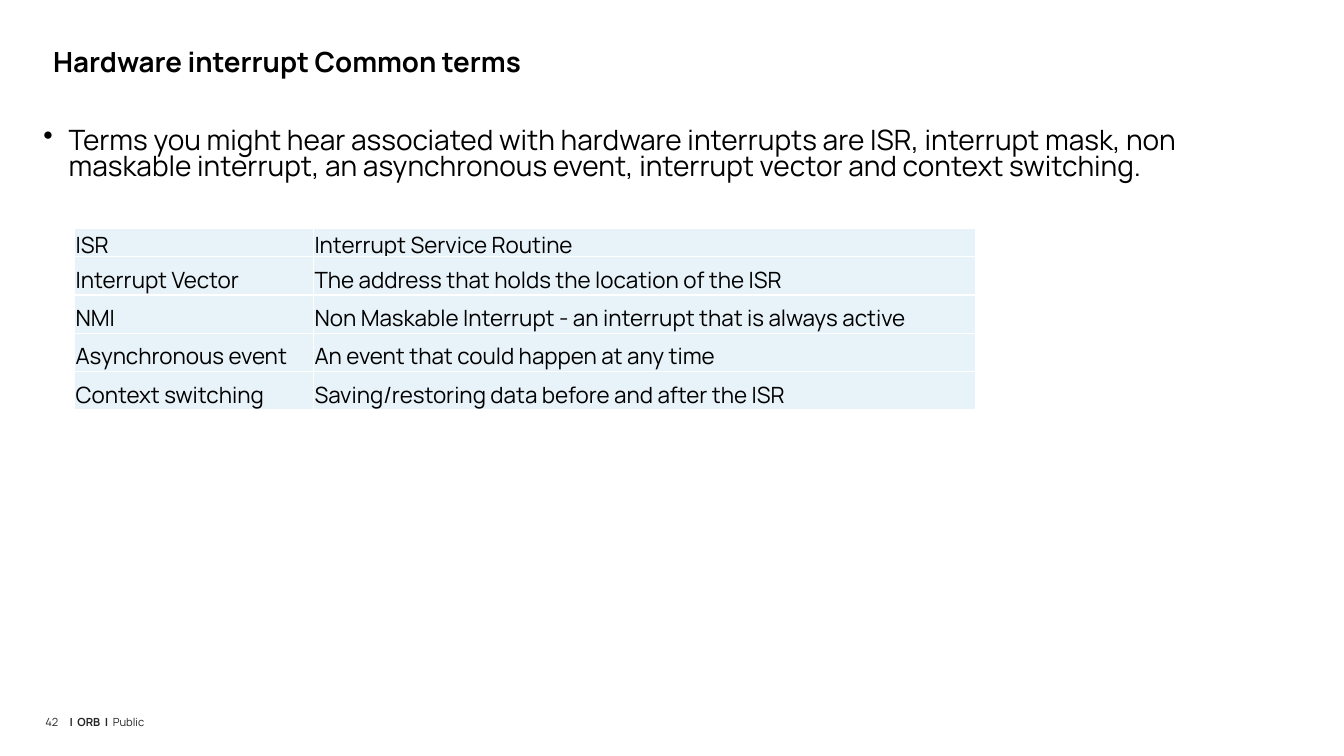
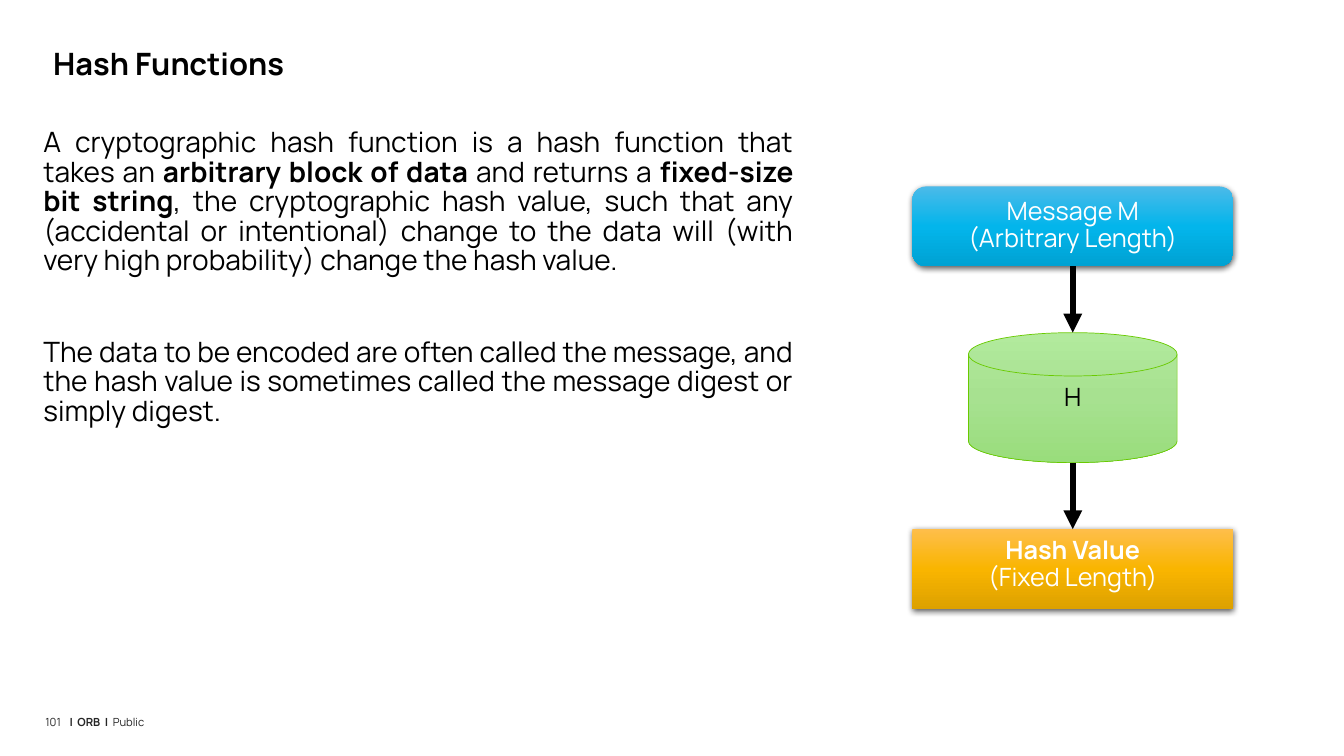
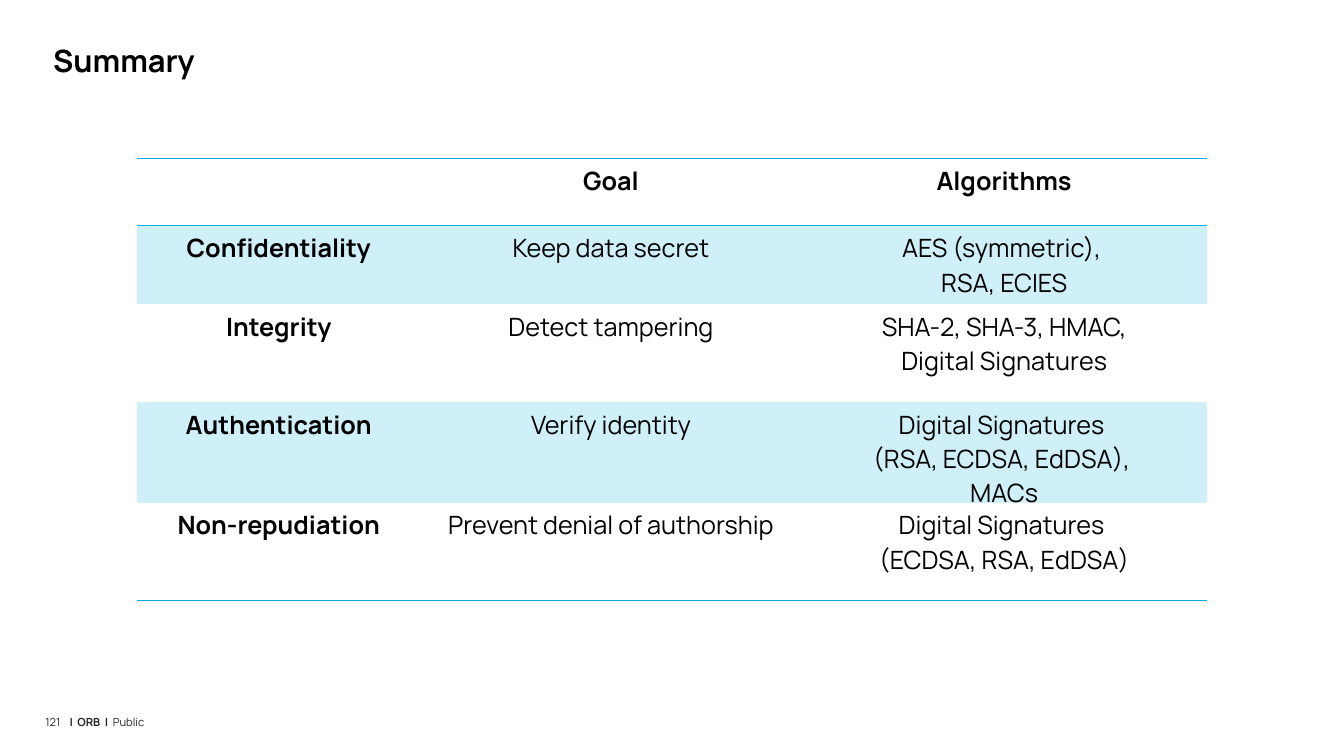
from copy import deepcopy

from lxml import etree
from pptx import Presentation
from pptx.dml.color import RGBColor
from pptx.enum import shapes, text
from pptx.oxml import ns
from pptx.util import Inches, Pt

FONT = "Manrope"
COLORS = {
    "ink": "000000",
    "footer": "262626",
    "white": "FFFFFF",
    "term_fill": "E7F2F9",
    "rule": "0EAFE0",
    "band": "CFEFF9",
    "green_line": "69CA00",
}
GRADIENTS = {
    "blue": ("4BBAE9", "03B5EB", "00A2D3"),
    "green": ("B2EA9D", "A7E190", "99DD7C"),
    "amber": ("FEBE4B", "F9B500", "DDA100"),
}
NO_STYLE = "{2D5ABB26-0587-4C30-8999-92F81FD0307C}"
LEFT, ALIGN = 0.43, text.PP_ALIGN
BODY_TOP, BODY_HEIGHT = 1.28, 5.1

TERMS = [
    ("ISR", "Interrupt Service Routine"),
    ("Interrupt Vector", "The address that holds the location of the ISR"),
    ("NMI", "Non Maskable Interrupt - an interrupt that is always active"),
    ("Asynchronous event", "An event that could happen at any time"),
    ("Context switching", "Saving/restoring data before and after the ISR"),
]
SUMMARY = [
    ("", "Goal", "Algorithms"),
    ("Confidentiality", "Keep data secret", "AES (symmetric), \nRSA, ECIES"),
    ("Integrity", "Detect tampering", "SHA-2, SHA-3, HMAC,\nDigital Signatures"),
    ("Authentication", "Verify identity",
     "Digital Signatures \n(RSA, ECDSA, EdDSA), \nMACs"),
    ("Non-repudiation", "Prevent denial of authorship",
     "Digital Signatures \n(ECDSA, RSA, EdDSA)"),
]


def rgb(key):
    """Return the colour for a palette key."""
    return RGBColor.from_string(COLORS[key])


def add_xml(parent, tag, **attributes):
    """Append a DrawingML element to a parent and return it."""
    return etree.SubElement(parent, ns.qn(tag), attributes)


def write(frame, paragraphs, size, color="ink", align=ALIGN.LEFT, spacing=None,
          gap=0, insets=(0.1, 0.05, 0.1, 0.05)):
    """Fill a text frame with paragraphs given as lists of (words, bold)."""
    frame.word_wrap = True
    (frame.margin_left, frame.margin_top,
     frame.margin_right, frame.margin_bottom) = map(Inches, insets)
    for index, pieces in enumerate(paragraphs):
        paragraph = frame.add_paragraph() if index else frame.paragraphs[0]
        paragraph.alignment = align
        paragraph.line_spacing = spacing
        if index and gap:
            paragraph.space_before = Pt(gap)
        for words, bold in pieces:
            run = paragraph.add_run()
            run.text = words
            run.font.name, run.font.size, run.font.bold = FONT, Pt(size), bold
            run.font.color.rgb = rgb(color)


def add_text(slide, box, paragraphs, size, **style):
    """Add a text box and return its frame."""
    frame = slide.shapes.add_textbox(*map(Inches, box)).text_frame
    write(frame, paragraphs, size, **style)
    return frame


def add_body(slide, width, paragraphs, **style):
    """Add the main text region below the title."""
    return add_text(slide, (LEFT, BODY_TOP, width, BODY_HEIGHT), paragraphs, 20,
                    insets=(0, 0, 0, 0), **style)


def new_slide(deck, title, number, title_size=22, title_top=0.45):
    """Add a blank slide with its title and footer."""
    slide = deck.slides.add_slide(deck.slide_layouts[6])
    footer = dict(size=8, color="footer", spacing=Pt(16.8), insets=(0, 0, 0, 0))
    add_text(slide, (0.69, 7, 4.44, 0.19),
             [[("|  ORB  |  ", True), ("Public", False)]], **footer)
    page = add_text(slide, (0.45, 7, 0.18, 0.19), [[(str(number), False)]], **footer)
    page.word_wrap = False
    add_text(slide, (LEFT, title_top, 12.5, 0.72), [[(title, True)]], title_size,
             spacing=0.85)
    return slide


def set_borders(cell, **sides):
    """Draw one-point borders on the named sides (L, R, T, B) of a cell."""
    properties = cell._tc.get_or_add_tcPr()
    for index, (side, color) in enumerate(sides.items()):
        line = etree.Element(ns.qn(f"a:ln{side}"), {"w": str(Pt(1))})
        add_xml(add_xml(line, "a:solidFill"), "a:srgbClr", val=COLORS[color])
        properties.insert(index, line)


def add_grid(slide, box, widths, heights):
    """Add an unstyled table with the given column widths and row heights."""
    table = slide.shapes.add_table(
        len(heights), len(widths), *map(Inches, box)).table
    table.first_row = table.horz_banding = False
    table._tbl.tblPr.find(ns.qn("a:tableStyleId")).text = NO_STYLE
    for column, width in zip(table.columns, widths):
        column.width = Inches(width)
    for row, height in zip(table.rows, heights):
        row.height = Inches(height)
    return table


def add_terms_table(slide, box):
    """Add the glossary of interrupt terms."""
    table = add_grid(slide, box, (2.37, 6.57), [0.25] + [0.38] * 4)
    for row, entry in enumerate(TERMS):
        for column, words in enumerate(entry):
            cell = table.cell(row, column)
            write(cell.text_frame, [[(words, False)]], 16)
            cell.margin_left = cell.margin_top = cell.margin_right = Inches(0.01)
            cell.margin_bottom = 0
            cell.vertical_anchor = text.MSO_ANCHOR.BOTTOM
            cell.fill.solid()
            cell.fill.fore_color.rgb = rgb("term_fill")
            set_borders(cell, **dict.fromkeys("LRTB", "white"))


def add_summary_table(slide, box):
    """Add the table of security goals and algorithms."""
    table = add_grid(slide, box, (2.81, 3.78, 4.02), [0.67, 0.78] + [0.97] * 3)
    for row, entry in enumerate(SUMMARY):
        for column, words in enumerate(entry):
            cell = table.cell(row, column)
            bold = row == 0 or column == 0
            if words:
                write(cell.text_frame, [[(line, bold)] for line in words.split("\n")],
                      18, align=ALIGN.CENTER)
            if row % 2:
                cell.fill.solid()
                cell.fill.fore_color.rgb = rgb("band")
            else:
                cell.fill.background()
            if row == 0:
                set_borders(cell, T="rule", B="rule")
            elif row == len(SUMMARY) - 1:
                set_borders(cell, B="rule")


def add_stage(slide, kind, box, gradient, lines, color="white", outline=None):
    """Add one gradient-filled stage of the hash flow."""
    stage = slide.shapes.add_shape(kind, *map(Inches, box))
    stage.fill.gradient()
    stage.fill.gradient_angle = 270
    stops = stage._element.spPr.find(".//" + ns.qn("a:gsLst"))
    stops.append(deepcopy(stops[0]))
    for index, (stop, value) in enumerate(
            zip(stage.fill.gradient_stops, GRADIENTS[gradient])):
        stop.position = index / 2
        stop.color.rgb = RGBColor.from_string(value)
    stage.shadow.inherit = False
    if outline:
        stage.line.color.rgb = rgb(outline)
        stage.line.width = Pt(0.5)
    else:
        stage.line.fill.background()
        effects = stage._element.spPr.find(ns.qn("a:effectLst"))
        shadow = add_xml(effects, "a:outerShdw", blurRad=str(Pt(4.5)),
                         dist=str(Pt(1.5)), dir="5400000", rotWithShape="0")
        tone = add_xml(shadow, "a:srgbClr", val=COLORS["ink"])
        add_xml(tone, "a:alpha", val="63000")
    stage.text_frame.vertical_anchor = text.MSO_ANCHOR.TOP
    write(stage.text_frame, [[line] for line in lines], 18, color=color,
          align=ALIGN.CENTER, spacing=0.88, insets=(0.1, 0.09, 0.1, 0.05))
    return stage


def add_arrow(slide, x, top, bottom):
    """Add a thick downward arrow."""
    arrow = slide.shapes.add_connector(
        shapes.MSO_CONNECTOR.STRAIGHT, *map(Inches, (x, top, x, bottom)))
    arrow.line.color.rgb = rgb("ink")
    arrow.line.width = Pt(4.5)
    add_xml(arrow.line._get_or_add_ln(), "a:tailEnd", type="triangle")
    add_xml(arrow._element.spPr, "a:effectLst")
    return arrow


def add_hash_flow(slide, left, top, width):
    """Add the flow from message through hash to value."""
    kinds = shapes.MSO_SHAPE
    box_height, disk_width, disk_height, gap = 0.79, 2.07, 1.29, 0.66
    middle = left + width / 2
    disk_top = top + box_height + gap
    disk_bottom = disk_top + disk_height
    value_top = disk_bottom + gap
    add_stage(slide, kinds.FLOWCHART_MAGNETIC_DISK,
              (middle - disk_width / 2, disk_top, disk_width, disk_height),
              "green", [("H", False)], color="ink", outline="green_line")
    value = add_stage(slide, kinds.RECTANGLE, (left, value_top, width, box_height),
                      "amber", [("Hash Value", True), ("(Fixed Length)", False)])
    message = add_stage(slide, kinds.ROUNDED_RECTANGLE,
                        (left, top, width, box_height), "blue",
                        [("Message M", False), ("(Arbitrary Length)", False)])
    add_arrow(slide, middle, top + box_height, disk_top).begin_connect(message, 2)
    add_arrow(slide, middle, disk_bottom, value_top).end_connect(value, 0)


def build_terms(deck):
    """Build the slide on interrupt terms."""
    slide = new_slide(deck, "Hardware interrupt Common terms", 42, title_size=19.8)
    body = add_body(slide, 12.5, [[(
        "Terms you might hear associated with hardware interrupts are ISR, "
        "interrupt mask, non maskable interrupt, an asynchronous event, "
        "interrupt vector and context switching.", False)]], spacing=0.79)
    properties = body.paragraphs[0]._p.get_or_add_pPr()
    properties.set("marL", str(Inches(0.25)))
    properties.set("indent", str(-Inches(0.25)))
    add_xml(properties, "a:buChar", char="•")
    add_terms_table(slide, (0.74, 2.27, 8.94, 1.78))


def build_hash(deck):
    """Build the slide on hash functions."""
    slide = new_slide(deck, "Hash Functions", 101)
    definition = [
        ("A cryptographic hash function is a hash function that takes an ", False),
        ("arbitrary block of data ", True),
        ("and returns a ", False),
        ("fixed-size bit string", True),
        (", the cryptographic hash value, such that any (accidental or "
         "intentional) change to the data will (with very high probability) "
         "change the hash value. ", False),
    ]
    naming = [("The data to be encoded are often called the message, and the hash "
               "value is sometimes called the message digest or simply digest.",
               False)]
    add_body(slide, 7.44, [definition, naming], align=ALIGN.JUSTIFY,
             spacing=0.88, gap=44)
    add_hash_flow(slide, 9.05, 1.85, 3.18)


def build_summary(deck):
    """Build the summary slide."""
    slide = new_slide(deck, "Summary", 121, title_top=0.42)
    add_summary_table(slide, (1.36, 1.57, 10.61, 4.36))


def main():
    """Build and save the deck."""
    deck = Presentation()
    deck.slide_width, deck.slide_height = Inches(13.33), Inches(7.5)
    build_terms(deck)
    build_hash(deck)
    build_summary(deck)
    deck.save("out.pptx")


if __name__ == "__main__":
    main()
